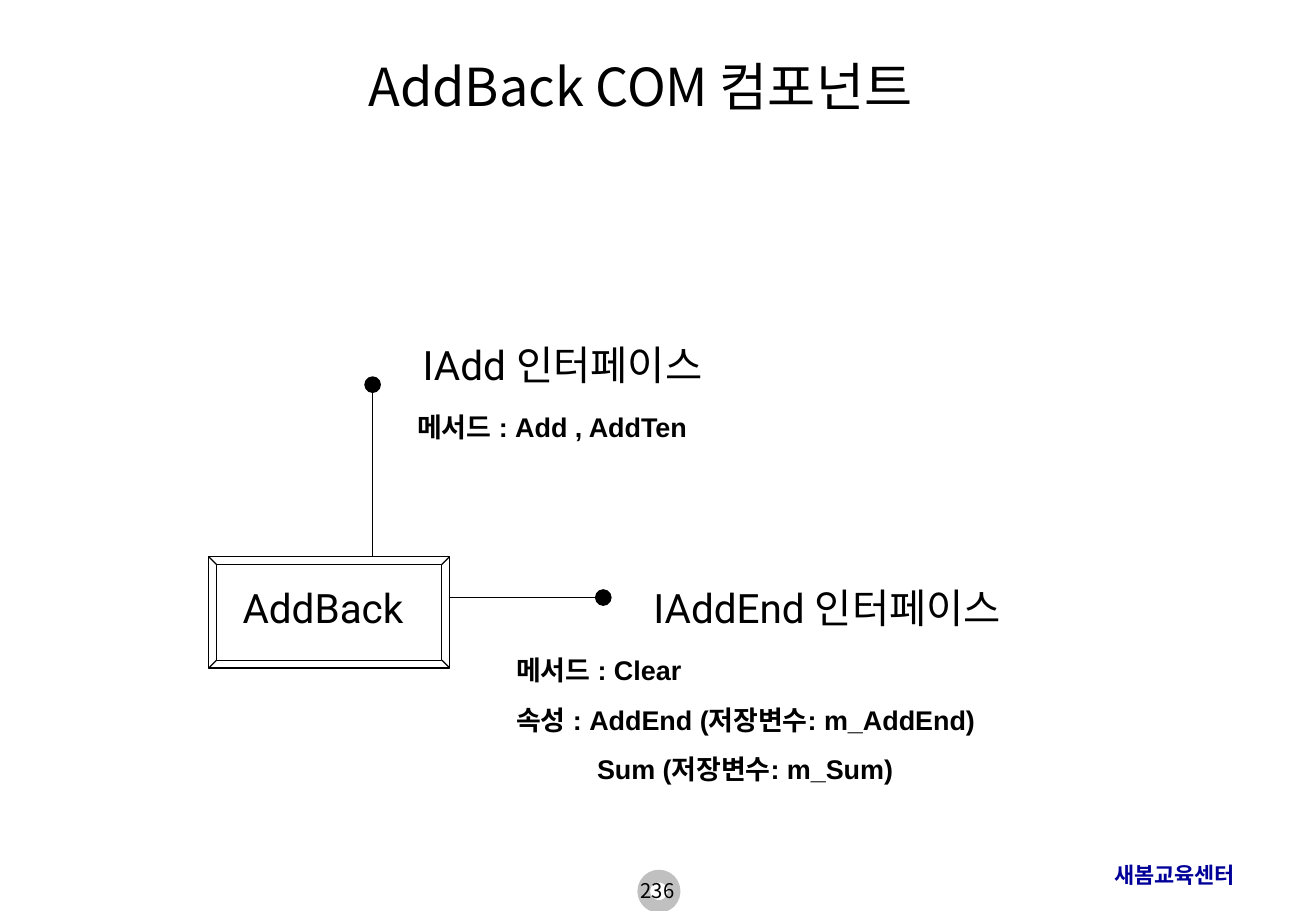
from dataclasses import dataclass

from lxml import etree
from pptx import Presentation
from pptx.dml.color import RGBColor as RGB
from pptx.enum.shapes import MSO_CONNECTOR as LINK, MSO_SHAPE as SHAPE
from pptx.enum.text import MSO_ANCHOR as ANCHOR, MSO_AUTO_SIZE as FIT, PP_ALIGN as ALIGN
from pptx.oxml.ns import qn
from pptx.util import Pt


@dataclass(frozen=True)
class Style:
    font: str
    size: float
    bold: bool = False
    color: str = "000000"
    align: ALIGN = ALIGN.LEFT


@dataclass(frozen=True)
class Theme:
    ink: str = "000000"
    paper: str = "FFFFFF"
    ring: str = "C0C0C0"
    title: Style = Style("Noto Sans CJK KR", 31, align=ALIGN.CENTER)
    name: Style = Style("Roboto", 24)
    member: Style = Style("Arial", 16, bold=True)
    brand: Style = Style("Arial", 13, bold=True, color="000099")
    page: Style = Style("Noto Sans CJK KR", 12, align=ALIGN.CENTER)


THEME = Theme()
SIZE = (780.48, 540)
GAP = 10     # space between member lines
INDENT = 48  # second property lines up under the first

TITLE = ("AddBack COM 컴포넌트", (48.2, 12.2, 663, 77.5))
BOX = (123.8, 330, 142.9, 66)
RING = (381.8, 519.3, 18, 18)

# Left, top, width, height; style; lines as (text, indent); wrap
TEXTS = [
    ((136.8, 342.2, 124, 36), THEME.name, [("AddBack", 0)], True),
    ((243.6, 198, 189, 36), THEME.name, [("IAdd 인터페이스", 0)], False),
    ((240.4, 240, 221, 27), THEME.member, [("메서드 : Add , AddTen", 0)], True),
    ((380.4, 342.2, 232, 36), THEME.name, [("IAddEnd 인터페이스", 0)], False),
    ((299, 384, 364, 85), THEME.member,
     [("메서드 : Clear", 0),
      ("속성 : AddEnd (저장변수: m_AddEnd)", 0),
      ("Sum (저장변수: m_Sum)", INDENT)], True),
    ((653.8, 507, 111, 23), THEME.brand, [("새봄교육센터", 0)], True),
    ((299, 517, 182, 23), THEME.page, [("236", 0)], True),
]

# Each interface pin: start on the box edge, end at the dot
PINS = [
    ((221, BOX[1]), (221, 228)),
    ((BOX[0] + BOX[2], 354.2), (357.8, 354.2)),
]


def points(values):
    return [Pt(v) for v in values]


def write(par, text, style):
    par.alignment = style.align
    run = par.add_run()
    run.text = text
    font = run.font
    font.size, font.bold, font.name = Pt(style.size), style.bold, style.font
    font.color.rgb = RGB.from_string(style.color)
    asian = etree.Element(qn("a:ea"), typeface=style.font)
    font._element.find(qn("a:latin")).addnext(asian)


def add_text(slide, area, style, lines, wrap):
    frame = slide.shapes.add_textbox(*points(area)).text_frame
    frame.word_wrap = wrap
    for i, (text, indent) in enumerate(lines):
        par = frame.add_paragraph() if i else frame.paragraphs[0]
        if i:
            par.space_before = Pt(GAP)
        if indent:
            props = par._p.get_or_add_pPr()
            props.set("marL", str(Pt(indent)))
            props.set("indent", "0")
        write(par, text, style)


def add_form(slide, kind, area, color, width):
    form = slide.shapes.add_shape(kind, *points(area))
    form.shadow.inherit = False
    form.line.color.rgb = RGB.from_string(color)
    form.line.width = Pt(width)
    return form


def add_pin(slide, start, end):
    pin = slide.shapes.add_connector(LINK.STRAIGHT, *points(start + end))
    pin.line.color.rgb = RGB.from_string(THEME.ink)
    pin.line.width = Pt(0.75)
    etree.SubElement(pin.line._get_or_add_ln(), qn("a:tailEnd"),
                     type="oval", w="lg", len="lg")
    etree.SubElement(pin._element.spPr, qn("a:effectLst"))


def add_title(slide, text, area):
    title = slide.shapes.title
    title.left, title.top, title.width, title.height = points(area)
    frame = title.text_frame
    frame.auto_size = FIT.NONE
    frame.vertical_anchor = ANCHOR.MIDDLE
    write(frame.paragraphs[0], text, THEME.title)


def main():
    deck = Presentation()
    deck.slide_width, deck.slide_height = points(SIZE)
    slide = deck.slides.add_slide(deck.slide_layouts[5])
    add_title(slide, *TITLE)

    ring = add_form(slide, SHAPE.OVAL, RING, THEME.ring, 7.5)
    ring.fill.solid()
    ring.fill.fore_color.rgb = RGB.from_string(THEME.paper)

    box = add_form(slide, SHAPE.BEVEL, BOX, THEME.ink, 0.75)
    box.fill.background()
    box.adjustments[0] = 0.07

    for pin in PINS:
        add_pin(slide, *pin)
    for text in TEXTS:
        add_text(slide, *text)
    deck.save("out.pptx")


if __name__ == "__main__":
    main()
